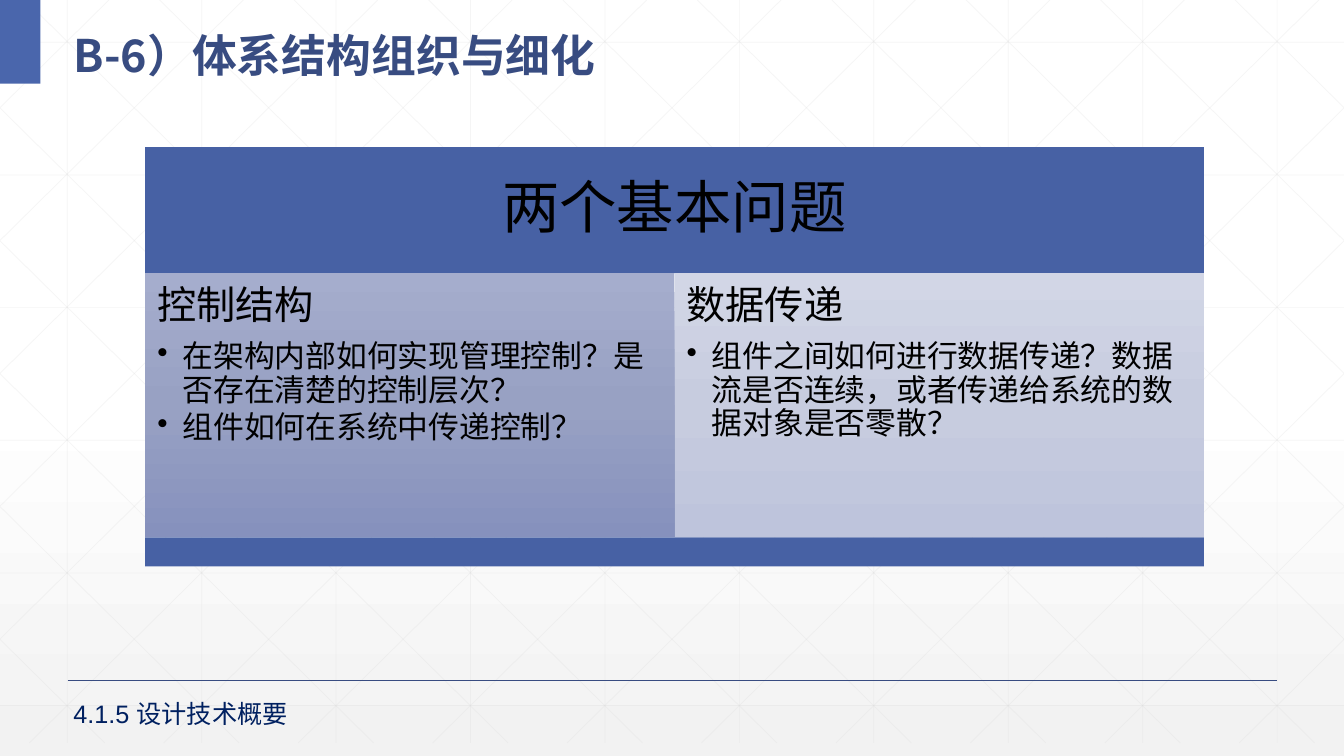
from dataclasses import dataclass

from pptx import Presentation
from pptx.dml.color import RGBColor
from pptx.enum.shapes import MSO_CONNECTOR as Connector, MSO_SHAPE as Shape
from pptx.enum.text import MSO_ANCHOR as Anchor, MSO_AUTO_SIZE as AutoSize, PP_ALIGN as Align
from pptx.oxml.ns import qn
from pptx.oxml.xmlchemy import OxmlElement
from pptx.util import Inches, Pt

TITLE = "B-6）体系结构组织与细化"
HEADER = "两个基本问题"
FOOTER = "4.1.5 设计技术概要"
PANELS = [
    {
        "heading": "控制结构",
        "points": ["在架构内部如何实现管理控制？是否存在清楚的控制层次？", "组件如何在系统中传递控制？"],
        "stops": [(0, "A5ADCD", 100), (50, "98A1C3", 100), (100, "8691BD", 100)],
    },
    {
        "heading": "数据传递",
        "points": ["组件之间如何进行数据传递？数据流是否连续，或者传递给系统的数据对象是否零散？"],
        "stops": [(0, "D2D6E6", 100), (50, "C7CCDF", 100), (100, "BEC4DC", 100)],
    },
]


@dataclass(frozen=True)
class Theme:
    title_font: str = "Noto Sans CJK SC"
    body_font: str = "Arial"
    navy: str = "384C81"
    accent: str = "4A66AC"
    band: str = "4761A4"
    ink: str = "000000"
    footer: str = "002060"
    grid: str = "D9D9D9"
    title_size: int = 32
    header_size: int = 41
    heading_size: int = 28
    point_size: int = 22
    footer_size: int = 18
    backdrop: tuple = ((0, "FFFFFF", 100), (53, "FFFFFF", 100), (100, "F2F2F2", 65))


THEME = Theme()
WIDTH, HEIGHT = 13.33, 7.5
GRID_BOTTOM = 7.37
COLUMN_STEP, ROW_STEP = 4 / 3, 1.316
DIAGONAL_START, DIAGONAL_RUN = 0.25, 7.455
FRAME_LEFT, FRAME_TOP, FRAME_WIDTH = 1.44, 1.46, 10.5
HEADER_HEIGHT, PANEL_HEIGHT, BASE_HEIGHT = 1.25, 2.62, 0.29


def add_alpha(color, percent):
    if percent < 100:
        alpha = OxmlElement("a:alpha")
        alpha.set("val", str(percent * 1000))
        color.append(alpha)


def fill_gradient(fill, element, stops):
    fill.gradient()
    fill.gradient_angle = 270
    stop_list = element.find(".//" + qn("a:gsLst"))
    for stop in list(stop_list):
        stop_list.remove(stop)
    for position, value, opacity in stops:
        stop = OxmlElement("a:gs")
        stop.set("pos", str(position * 1000))
        color = OxmlElement("a:srgbClr")
        color.set("val", value)
        add_alpha(color, opacity)
        stop.append(color)
        stop_list.append(stop)


def add_line(page, start, end, color, width, opacity=100):
    line = page.shapes.add_connector(Connector.STRAIGHT, *map(Inches, (*start, *end)))
    line.line.color.rgb = RGBColor.from_string(color)
    line.line.width = Pt(width)
    add_alpha(line._element.find(".//" + qn("a:srgbClr")), opacity)
    line._element.spPr.append(OxmlElement("a:effectLst"))


def add_block(page, left, top, width, height, color=None):
    box = page.shapes.add_shape(Shape.RECTANGLE, *map(Inches, (left, top, width, height)))
    box.shadow.inherit = False
    box.line.fill.background()
    if color:
        box.fill.solid()
        box.fill.fore_color.rgb = RGBColor.from_string(color)
    return box


def set_insets(frame, inset):
    frame.word_wrap = True
    frame.margin_left = frame.margin_right = Inches(inset)
    frame.margin_top = frame.margin_bottom = Inches(inset)


def style_text(para, size, color, font=THEME.body_font, bold=False):
    for span in para.runs:
        span.font.name = font
        span.font.size = Pt(size)
        span.font.bold = bold
        span.font.color.rgb = RGBColor.from_string(color)


def add_bullet(para):
    para.level = 1
    properties = para._p.get_or_add_pPr()
    properties.set("marL", str(Inches(0.25)))
    properties.set("indent", str(-Inches(0.25)))
    bullet = OxmlElement("a:buChar")
    bullet.set("char", "•")
    properties.append(bullet)


def draw_grid(page):
    segments = [((x, 0), (x, GRID_BOTTOM)) for x in (2 / 3 + COLUMN_STEP * i for i in range(10))]
    segments += [((0, y), (WIDTH, y)) for y in (0.42 + ROW_STEP * i for i in range(6))]
    slope = GRID_BOTTOM / DIAGONAL_RUN
    for index in range(-5, 10):
        origin = DIAGONAL_START + COLUMN_STEP * index
        left, right = max(origin, 0), min(origin + DIAGONAL_RUN, WIDTH)
        top, bottom = (left - origin) * slope, (right - origin) * slope
        segments.append(((left, top), (right, bottom)))
        segments.append(((WIDTH - left, top), (WIDTH - right, bottom)))
    for start, end in segments:
        add_line(page, start, end, THEME.grid, 0.5, 25)


def draw_title(page):
    title = page.shapes.title
    title.left, title.top, title.width, title.height = map(Inches, (0.63, 0.1, 12.42, 0.73))
    frame = title.text_frame
    frame.text = TITLE
    frame.auto_size = AutoSize.NONE
    frame.vertical_anchor = Anchor.MIDDLE
    para = frame.paragraphs[0]
    para.alignment = Align.LEFT
    para.line_spacing = 1.3
    style_text(para, THEME.title_size, THEME.navy, THEME.title_font, True)
    for span in para.runs:
        east_asian = OxmlElement("a:ea")
        east_asian.set("typeface", THEME.title_font)
        span.font._element.find(qn("a:latin")).addnext(east_asian)
    page.shapes._spTree.append(title._element)


def draw_header(page):
    box = add_block(page, FRAME_LEFT, FRAME_TOP, FRAME_WIDTH, HEADER_HEIGHT, THEME.band)
    frame = box.text_frame
    set_insets(frame, 0.17)
    frame.vertical_anchor = Anchor.MIDDLE
    frame.text = HEADER
    para = frame.paragraphs[0]
    para.alignment = Align.CENTER
    para.line_spacing = 0.9
    style_text(para, THEME.header_size, THEME.ink)


def draw_panel(page, panel, left, top, width):
    box = add_block(page, left, top, width, PANEL_HEIGHT)
    fill_gradient(box.fill, box._element, panel["stops"])
    frame = box.text_frame
    set_insets(frame, 0.12)
    frame.vertical_anchor = Anchor.TOP
    frame.text = "\n".join([panel["heading"], *panel["points"]])
    for index, para in enumerate(frame.paragraphs):
        size, gap = (THEME.point_size, 0.15) if index else (THEME.heading_size, 0.35)
        if index:
            add_bullet(para)
        para.alignment = Align.LEFT
        para.line_spacing = 0.9
        para.space_after = Pt(size * gap)
        style_text(para, size, THEME.ink)


def draw_footer(page):
    box = page.shapes.add_textbox(*map(Inches, (0.63, 6.88, 3.53, 0.4)))
    box.text_frame.word_wrap = True
    box.text_frame.text = FOOTER
    style_text(box.text_frame.paragraphs[0], THEME.footer_size, THEME.footer)


def main():
    deck = Presentation()
    deck.slide_width, deck.slide_height = Inches(WIDTH), Inches(HEIGHT)
    page = deck.slides.add_slide(deck.slide_layouts[5])
    fill_gradient(page.background.fill, page._element, THEME.backdrop)
    draw_grid(page)
    add_line(page, (0.67, 6.75), (12.67, 6.75), THEME.navy, 1)
    add_block(page, 0, 0, 0.4, 0.83, THEME.accent)
    draw_title(page)
    draw_header(page)
    panel_top = FRAME_TOP + HEADER_HEIGHT
    panel_width = FRAME_WIDTH / len(PANELS)
    for index, panel in enumerate(PANELS):
        draw_panel(page, panel, FRAME_LEFT + panel_width * index, panel_top, panel_width)
    add_block(page, FRAME_LEFT, panel_top + PANEL_HEIGHT, FRAME_WIDTH, BASE_HEIGHT, THEME.band)
    draw_footer(page)
    deck.save("out.pptx")


if __name__ == "__main__":
    main()
